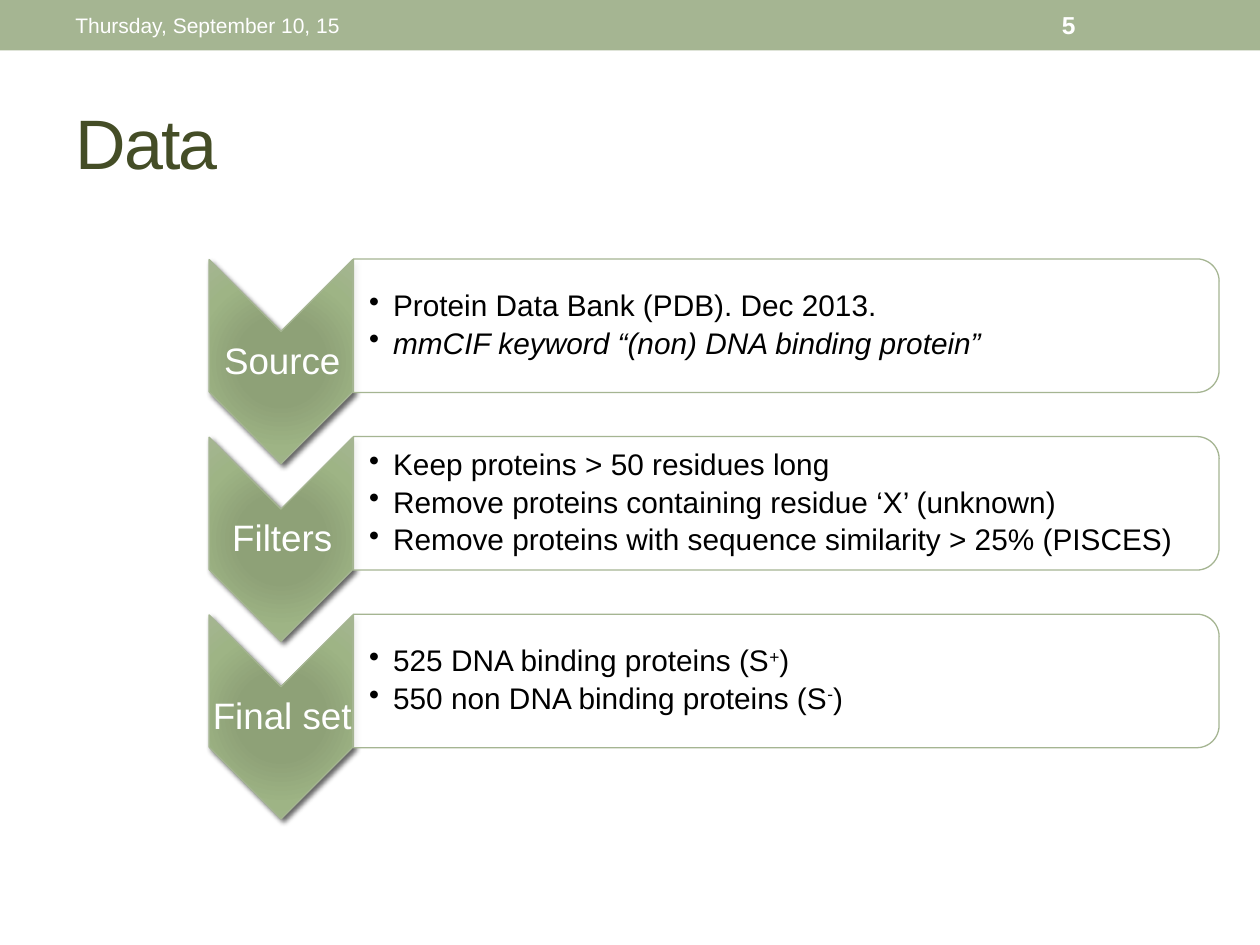
import pptx
import pptx.util
import pptx.dml.color
import pptx.enum.shapes
import pptx.enum.text
import pptx.oxml
import pptx.oxml.ns

Inches = pptx.util.Inches
Pt = pptx.util.Pt
SHAPE = pptx.enum.shapes.MSO_SHAPE
NS = pptx.oxml.ns.nsdecls("a")
HEX = {"sage": "A5B592", "moss": "444D26", "white": "FFFFFF", "black": "000000"}
RGB = {name: pptx.dml.color.RGBColor.from_string(code) for name, code in HEX.items()}
STOPS = [(0, "8EA276"), (34, "8EA177"), (70, "9EB485"), (100, HEX["sage"])]

deck = pptx.Presentation()
deck.slide_width = Inches(10)
deck.slide_height = Inches(7.5)
slide = deck.slides.add_slide(deck.slide_layouts[6])


def add_text(box, lines, size, color, pads=(0.1, 0.05, 0.1, 0.05)):
    frame = slide.shapes.add_textbox(*map(Inches, box)).text_frame
    frame.word_wrap = True
    frame.vertical_anchor = pptx.enum.text.MSO_ANCHOR.MIDDLE
    frame.margin_left, frame.margin_top, frame.margin_right, frame.margin_bottom = map(Inches, pads)
    frame.text = "\n".join(lines)
    for para in frame.paragraphs:
        para.font.size = Pt(size)
        for run in para.runs:
            run.font.name = "Arial"
            run.font.size = Pt(size)
            run.font.color.rgb = RGB[color]
    return frame


def add_shape(kind, box, fill, turn=0):
    shape = slide.shapes.add_shape(kind, *map(Inches, box))
    shape.rotation = turn
    shape.fill.solid()
    shape.fill.fore_color.rgb = RGB[fill]
    shape.line.color.rgb = RGB["sage"]
    shape.line.width = Pt(0.75)
    shape.shadow.inherit = False
    return shape


band = add_shape(SHAPE.RECTANGLE, (0, 0, 10, 0.4), "sage")
band.line.fill.background()
title = add_text((0.5, 0.58, 9, 1.08), ["Data"], 40, "moss")
title.paragraphs[0].runs[0].font._element.set("spc", "-100")
add_text((0.5, 0.02, 3.17, 0.36), ["Thursday, September 10, 15"], 12, "white")
page = add_text((8.33, 0.02, 1.17, 0.36), ["5"], 14, "white")
page.paragraphs[0].runs[0].font.bold = True

steps = [
    ("Source", ["Protein Data Bank (PDB). Dec 2013.",
                "mmCIF keyword “(non) DNA binding protein”"]),
    ("Filters", ["Keep proteins > 50 residues long",
                 "Remove proteins containing residue ‘X’ (unknown)",
                 "Remove proteins with sequence similarity > 25% (PISCES)"]),
    ("Final set", ["525 DNA binding proteins (S",
                   "550 non DNA binding proteins (S"]),
]
frames = []
for row, (label, lines) in enumerate(steps):
    top = 2.06 + 1.41 * row

    arrow = add_shape(SHAPE.CHEVRON, (1.42, top + 0.24, 1.62, 1.14), "sage", 90)
    props = arrow._element.spPr
    stops = "".join(f'<a:gs pos="{pos * 1000}"><a:srgbClr val="{code}"/></a:gs>' for pos, code in STOPS)
    grad = pptx.oxml.parse_xml(
        f'<a:gradFill {NS} rotWithShape="1"><a:gsLst>{stops}</a:gsLst><a:path path="circle">'
        '<a:fillToRect l="100000" t="100000" r="100000" b="100000"/></a:path></a:gradFill>')
    props.replace(props.find(pptx.oxml.ns.qn("a:solidFill")), grad)
    shade = pptx.oxml.parse_xml(
        f'<a:outerShdw {NS} blurRad="{Pt(3)}" dist="{Pt(2)}" dir="2700000" rotWithShape="0">'
        f'<a:srgbClr val="{HEX["black"]}"><a:alpha val="60000"/></a:srgbClr></a:outerShdw>')
    props.find(pptx.oxml.ns.qn("a:effectLst")).append(shade)

    name = add_text((1.67, top + 0.57, 1.14, 0.49), [label], 21, "white", (0.01,) * 4)
    name.paragraphs[0].alignment = pptx.enum.text.PP_ALIGN.CENTER
    name.paragraphs[0].line_spacing = 0.9

    panel = add_shape(SHAPE.ROUND_2_SAME_RECTANGLE, (5.71, top - 2.91, 1.06, 6.87), "white", 90)
    tint = panel._element.spPr.find(pptx.oxml.ns.qn("a:solidFill"))[0]
    tint.append(pptx.oxml.parse_xml(f'<a:alpha {NS} val="90000"/>'))

    frame = add_text((2.8, top + 0.05, 6.82, 0.95), lines, 17, "black", (0.13, 0.01, 0.01, 0.01))
    for para in frame.paragraphs:
        para.level = 1
        para.line_spacing = 0.9
        para.space_after = Pt(3)
        rule = para._p.get_or_add_pPr()
        rule.set("marL", str(Inches(0.19)))
        rule.set("indent", str(-Inches(0.19)))
        bullet = pptx.oxml.parse_xml(f'<a:buChar {NS} char="•"/>')
        rule.insert_element_before(bullet, "a:tabLst", "a:defRPr", "a:extLst")
    frames.append(frame)

frames[0].paragraphs[1].runs[0].font.italic = True
for para, sign in zip(frames[2].paragraphs, "+-"):
    for text, base in ((sign, "30000"), (")", "0")):
        run = para.add_run()
        run.text = text
        run.font.name = "Arial"
        run.font.size = Pt(17)
        run.font.color.rgb = RGB["black"]
        run.font._element.set("baseline", base)

deck.save("out.pptx")
